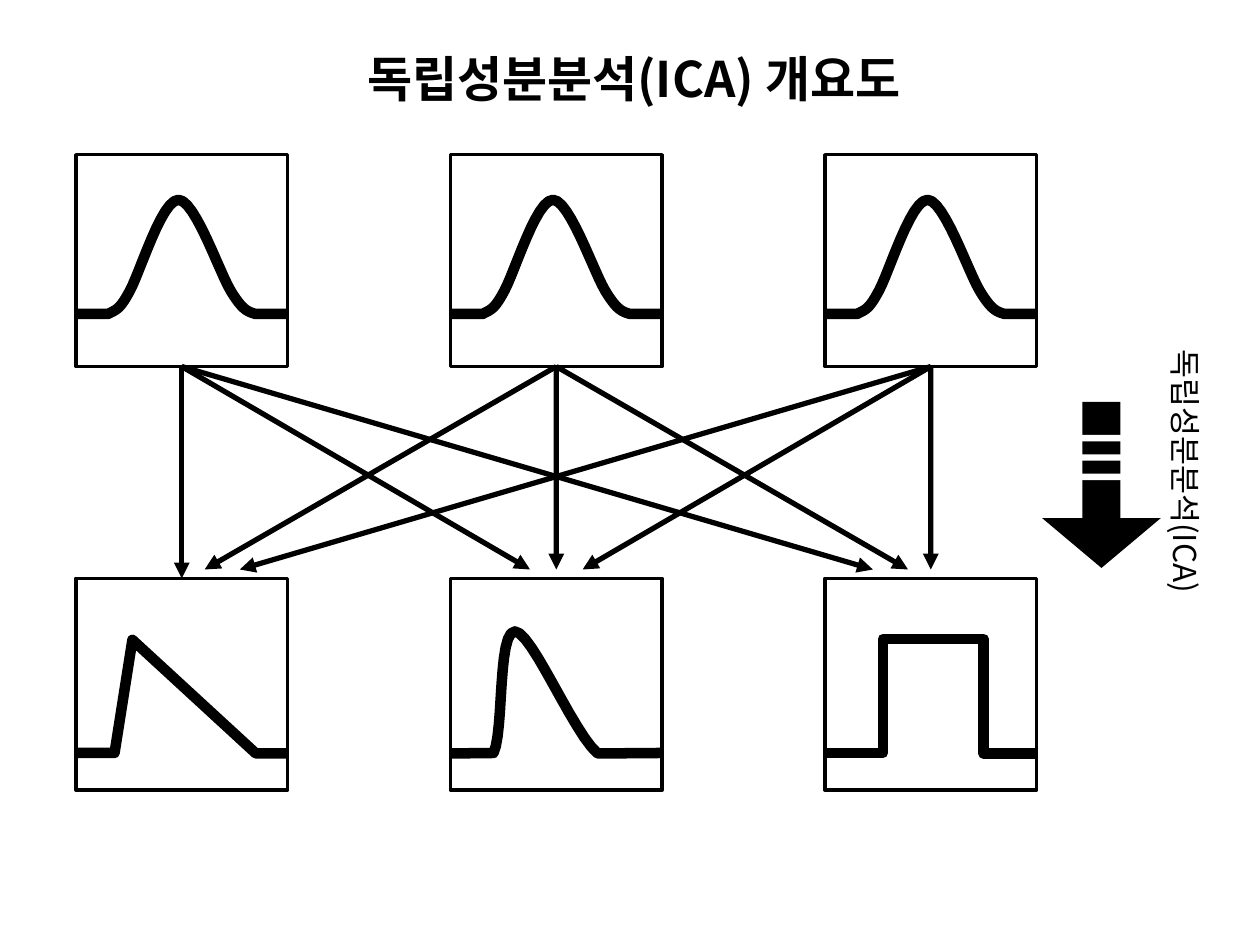
from lxml import etree
from pptx import Presentation
from pptx.dml.color import RGBColor
from pptx.enum.shapes import MSO_CONNECTOR, MSO_SHAPE
from pptx.enum.text import MSO_AUTO_SIZE, PP_ALIGN
from pptx.oxml.ns import qn
from pptx.util import Cm, Pt

BLACK = RGBColor(0, 0, 0)
WHITE = RGBColor(255, 255, 255)
FONT = "Noto Sans CJK KR"

BOX = 4.27
LEFTS = [1.53 + 7.55 * i for i in range(3)]
SOURCE_TOP, SIGNAL_TOP = 3.12, 11.66
ARROW_END = 11.48

# Curves in cm from the corner of their box: a pair of numbers is a corner,
# a triple of points is a Bezier segment.
BELL = [(0, 3.21), (0.65, 3.21),
        ((0.83, 3.12), (0.9, 3.1), (1.09, 2.74)),
        ((1.3, 2.36), (1.73, 0.91), (2.07, 0.91)),
        ((2.4, 0.91), (2.89, 2.36), (3.12, 2.74)),
        ((3.35, 3.12), (3.45, 3.16), (3.62, 3.21)),
        (4.27, 3.21)]
SAWTOOTH = [(0, 3.52), (0.78, 3.52), (1.14, 1.24), (3.63, 3.53), (4.24, 3.53)]
SKEWED = [(0, 3.53), (0.87, 3.52),
          ((1.08, 3.1), (0.95, 1.07), (1.3, 1.07)),
          ((1.64, 1.07), (2.48, 3.12), (2.97, 3.53)),
          (4.24, 3.52)]
SQUARE = [(0, 3.52), (1.17, 3.52), (1.17, 1.22), (3.2, 1.22), (3.2, 3.53), (4.24, 3.53)]

# Shift of each arrowhead from the middle of its signal box, by source
HEAD_SHIFTS = [(0, 0.46, 1.17), (-0.53, 0, 0.53), (-1.17, -0.46, 0)]

prs = Presentation()
prs.slide_width, prs.slide_height = Cm(25.4), Cm(19.05)
slide = prs.slides.add_slide(prs.slide_layouts[6])
shapes = slide.shapes


def add_text(text, left, top, width, height, size, bold=False,
             align=PP_ALIGN.LEFT, rotation=0):
    tb = shapes.add_textbox(Cm(left), Cm(top), Cm(width), Cm(height))
    tb.rotation = rotation
    tf = tb.text_frame
    tf.word_wrap = False
    tf.auto_size = MSO_AUTO_SIZE.SHAPE_TO_FIT_TEXT
    p = tf.paragraphs[0]
    p.alignment = align
    r = p.add_run()
    r.text = text
    r.font.size, r.font.bold, r.font.name = Pt(size), bold, FONT
    r.font.color.rgb = BLACK
    etree.SubElement(r._r.get_or_add_rPr(), qn("a:ea"), typeface=FONT)


def add_block(kind, left, top, width, height, fill, line_width=0):
    sp = shapes.add_shape(kind, Cm(left), Cm(top), Cm(width), Cm(height))
    sp.shadow.inherit = False
    sp.fill.solid()
    sp.fill.fore_color.rgb = fill
    if line_width:
        sp.line.color.rgb = BLACK
        sp.line.width = Pt(line_width)
    else:
        sp.line.fill.background()
    return sp


# Boxes with their curves
boxes = {}
for top, curves in ((SOURCE_TOP, [BELL] * 3), (SIGNAL_TOP, [SAWTOOTH, SKEWED, SQUARE])):
    boxes[top] = [add_block(MSO_SHAPE.RECTANGLE, left, top, BOX, BOX, WHITE, 2)
                  for left in LEFTS]
    for left, curve in zip(LEFTS, curves):
        points = []
        for step in curve:
            if len(step) == 2:
                points.append(step)
                continue
            start, (c1, c2, end) = points[-1], step
            for t in (n / 12 for n in range(1, 13)):
                u = 1 - t
                points.append(tuple(
                    u**3 * a + 3 * u * u * t * b + 3 * u * t * t * c + t**3 * d
                    for a, b, c, d in zip(start, c1, c2, end)))
        points = [(Cm(left + x), Cm(top + y)) for x, y in points]
        builder = shapes.build_freeform(*points[0])
        builder.add_line_segments(points[1:], close=False)
        sp = builder.convert_to_shape()
        sp.shadow.inherit = False
        sp.fill.background()
        sp.line.color.rgb = BLACK
        sp.line.width = Pt(6)
        etree.SubElement(sp.line._get_or_add_ln(), qn("a:round"))

# Every source feeds every signal
for i, source in enumerate(boxes[SOURCE_TOP]):
    for j, signal in enumerate(boxes[SIGNAL_TOP]):
        end_x = LEFTS[j] + BOX / 2 + HEAD_SHIFTS[j][i]
        arrow = shapes.add_connector(
            MSO_CONNECTOR.STRAIGHT, Cm(LEFTS[i] + BOX / 2), Cm(SOURCE_TOP + BOX),
            Cm(end_x), Cm(ARROW_END))
        arrow.begin_connect(source, 2)
        if i == j == 0:
            arrow.end_connect(signal, 0)
        arrow.line.color.rgb = BLACK
        arrow.line.width = Pt(3)
        etree.SubElement(arrow.line._get_or_add_ln(), qn("a:tailEnd"), type="triangle")
        etree.SubElement(arrow._element.spPr, qn("a:effectLst"))

# Striped arrow beside the diagram
down = add_block(MSO_SHAPE.DOWN_ARROW, 21.01, 8.1, 2.39, 3.35, BLACK)
down.adjustments[0], down.adjustments[1] = 0.32, 0.42
for n in range(3):
    add_block(MSO_SHAPE.RECTANGLE, 21.39, 8.77 + 0.39 * n, 1.6, 0.13, WHITE)

add_text("독립성분분석(ICA)", 21.03, 9.17, 5.77, 1.02, 18, rotation=90)
add_text("독립성분분석(ICA) 개요도", 6.68, 0.86, 12.19, 1.45, 28, bold=True,
         align=PP_ALIGN.CENTER)

prs.save("out.pptx")
